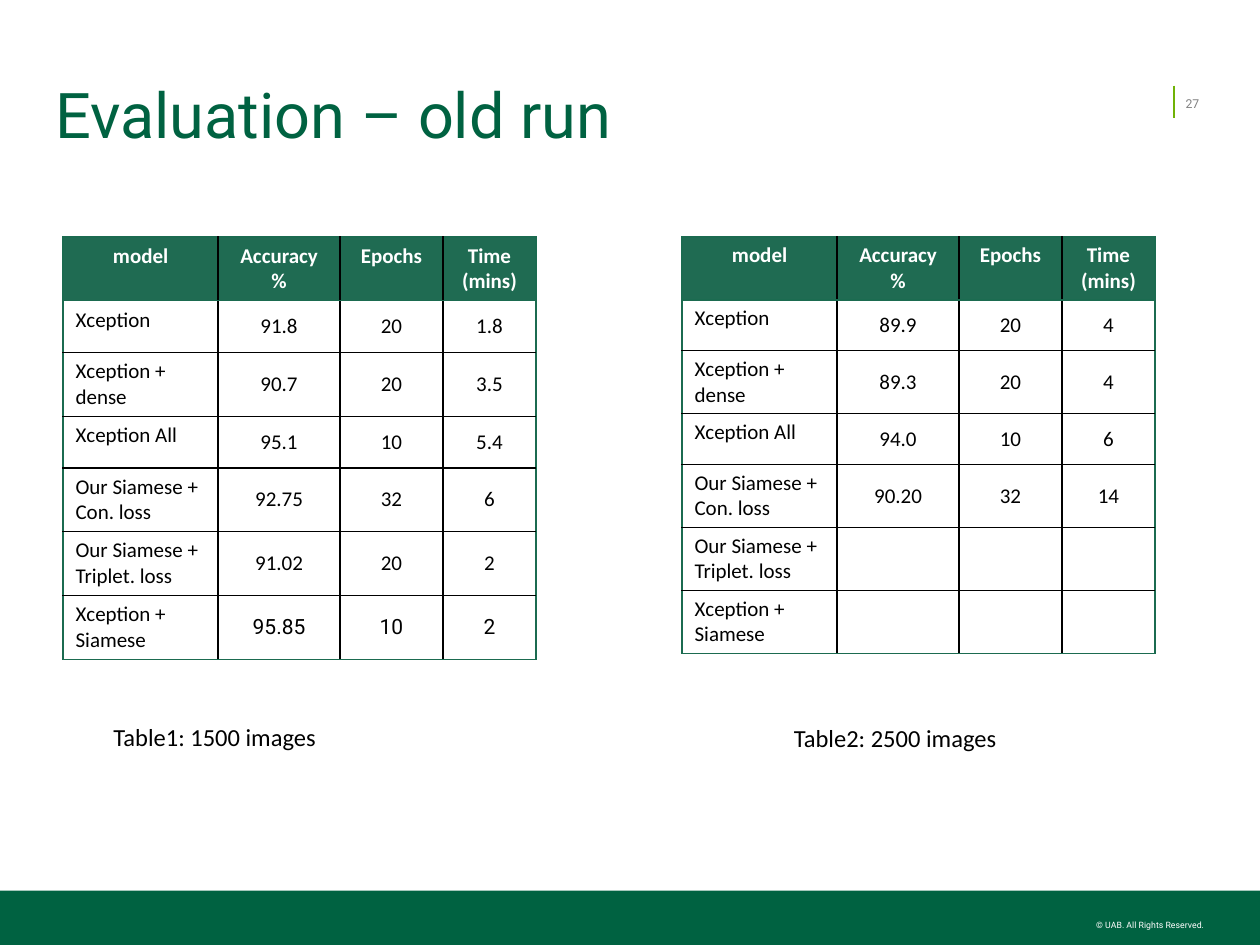
import pptx
import pptx.dml.color
import pptx.enum.shapes
import pptx.enum.text
import pptx.oxml
import pptx.oxml.ns
import pptx.util
import lxml.etree

Pt = pptx.util.Pt
ALIGN = pptx.enum.text.PP_ALIGN
ANCHOR = pptx.enum.text.MSO_ANCHOR
GREEN, TABLE_GREEN, BLACK, WHITE = "006241", "1B6B50", "000000", "FFFFFF"


def color(hex_string):
    return pptx.dml.color.RGBColor.from_string(hex_string)


def write(frame, text, size, font, hex_string, align=ALIGN.LEFT, bold=False, margin=0):
    frame.margin_left = frame.margin_right = Pt(margin)
    frame.margin_top = frame.margin_bottom = Pt(margin)
    paragraph = frame.paragraphs[0]
    paragraph.alignment = align
    run = paragraph.add_run()
    run.text = text
    run.font.size = Pt(size)
    run.font.name = font
    run.font.bold = bold
    run.font.color.rgb = color(hex_string)


presentation = pptx.Presentation()
presentation.slide_width = Pt(720)
presentation.slide_height = Pt(540)
slide = presentation.slides.add_slide(presentation.slide_layouts[5])
shapes = slide.shapes

title = shapes.title
title.left, title.top, title.width, title.height = Pt(31.7), Pt(37.4), Pt(628), Pt(60.5)
title.text_frame.vertical_anchor = ANCHOR.MIDDLE
title.text_frame.paragraphs[0].line_spacing = 0.9
write(title.text_frame, "Evaluation – old run", 36, "Roboto", GREEN)

number_rule = shapes.add_connector(
    pptx.enum.shapes.MSO_CONNECTOR.STRAIGHT, Pt(671), Pt(49), Pt(671), Pt(67.5))
number_rule.line.color.rgb = color("70B207")
number_rule.line.width = Pt(1)
lxml.etree.SubElement(number_rule._element.spPr, pptx.oxml.ns.qn("a:effectLst"))

footer_bar = shapes.add_shape(
    pptx.enum.shapes.MSO_SHAPE.RECTANGLE, 0, Pt(509), Pt(720), Pt(31))
footer_bar.shadow.inherit = False
footer_bar.fill.solid()
footer_bar.fill.fore_color.rgb = color(GREEN)
footer_bar.line.fill.background()

labels = [
    (626.4, 525.6, 61.9, 10, "© UAB. All Rights Reserved.", 5, "Roboto", WHITE, ALIGN.RIGHT, 0),
    (677.5, 54, 10, 10, "27", 7, "Roboto", "808080", ALIGN.LEFT, 0),
    (61.2, 409, 180, 24.5, "Table1: 1500 images", 14, "Calibri", BLACK, ALIGN.LEFT, 3.6),
    (450, 409.7, 191.5, 24.5, "Table2: 2500 images", 14, "Calibri", BLACK, ALIGN.LEFT, 3.6),
]
for left, top, width, height, text, size, font, hex_string, align, margin in labels:
    box = shapes.add_textbox(Pt(left), Pt(top), Pt(width), Pt(height))
    box.text_frame.word_wrap = margin > 0
    if text == "27":
        box.text_frame.vertical_anchor = ANCHOR.MIDDLE
    write(box.text_frame, text, size, font, hex_string, align, margin=margin)

header = ["model", "Accuracy %", "Epochs", "Time (mins)"]
models = ["Xception", "Xception + dense", "Xception All", "Our Siamese + Con. loss",
          "Our Siamese + Triplet. loss", "Xception + Siamese"]
results_1500 = [["91.8", "20", "1.8"], ["90.7", "20", "3.5"], ["95.1", "10", "5.4"],
                ["92.75", "32", "6"], ["91.02", "20", "2"], ["95.85", "10", "2"]]
results_2500 = [["89.9", "20", "4"], ["89.3", "20", "4"], ["94.0", "10", "6"],
                ["90.20", "32", "14"], [""] * 3, [""] * 3]
column_widths = [88.7, 69.6, 58.9, 53.1]

for left, results, short_row, margin in [(36, results_1500, 29.5, 3.6),
                                         (389.7, results_2500, 29, 3.35)]:
    rows = [header] + [[model] + values for model, values in zip(models, results)]
    last_row, last_column = len(rows) - 1, len(header) - 1
    frame = shapes.add_table(len(rows), len(header), Pt(left), Pt(135.4),
                             Pt(sum(column_widths)), Pt(short_row * len(rows)))
    table = frame.table
    table.horz_banding = False
    for column, width in zip(table.columns, column_widths):
        column.width = Pt(width)
    for row_index, values in enumerate(rows):
        is_header = row_index == 0
        tall = is_header or row_index not in (1, 3)
        table.rows[row_index].height = Pt(29.3 + 2 * margin if tall else short_row)
        for column_index, text in enumerate(values):
            cell = table.cell(row_index, column_index)
            properties = cell._tc.get_or_add_tcPr()
            green_sides = {"L": column_index == 0, "R": column_index == last_column,
                           "T": row_index <= 1, "B": row_index in (0, last_row)}
            for side, is_green in green_sides.items():
                hex_string, width = (TABLE_GREEN, 0.75) if is_green else (BLACK, 1)
                properties.append(pptx.oxml.parse_xml(
                    f'<a:ln{side} {pptx.oxml.ns.nsdecls("a")} w="{Pt(width)}"><a:solidFill>'
                    f'<a:srgbClr val="{hex_string}"/></a:solidFill></a:ln{side}>'))
            cell.fill.solid()
            cell.fill.fore_color.rgb = color("1F6B52" if is_header else WHITE)
            is_label = column_index == 0 and not is_header
            is_value = column_index > 0 and not is_header
            cell.vertical_anchor = ANCHOR.MIDDLE if is_value else ANCHOR.TOP
            if text:
                font = "Roboto" if is_value and row_index == last_row else "Calibri"
                write(cell.text_frame, text, 12, font, WHITE if is_header else BLACK,
                      ALIGN.LEFT if is_label else ALIGN.CENTER, is_header)
            cell.margin_left = cell.margin_right = Pt(7.2)
            cell.margin_top = cell.margin_bottom = Pt(margin)

presentation.save("out.pptx")
